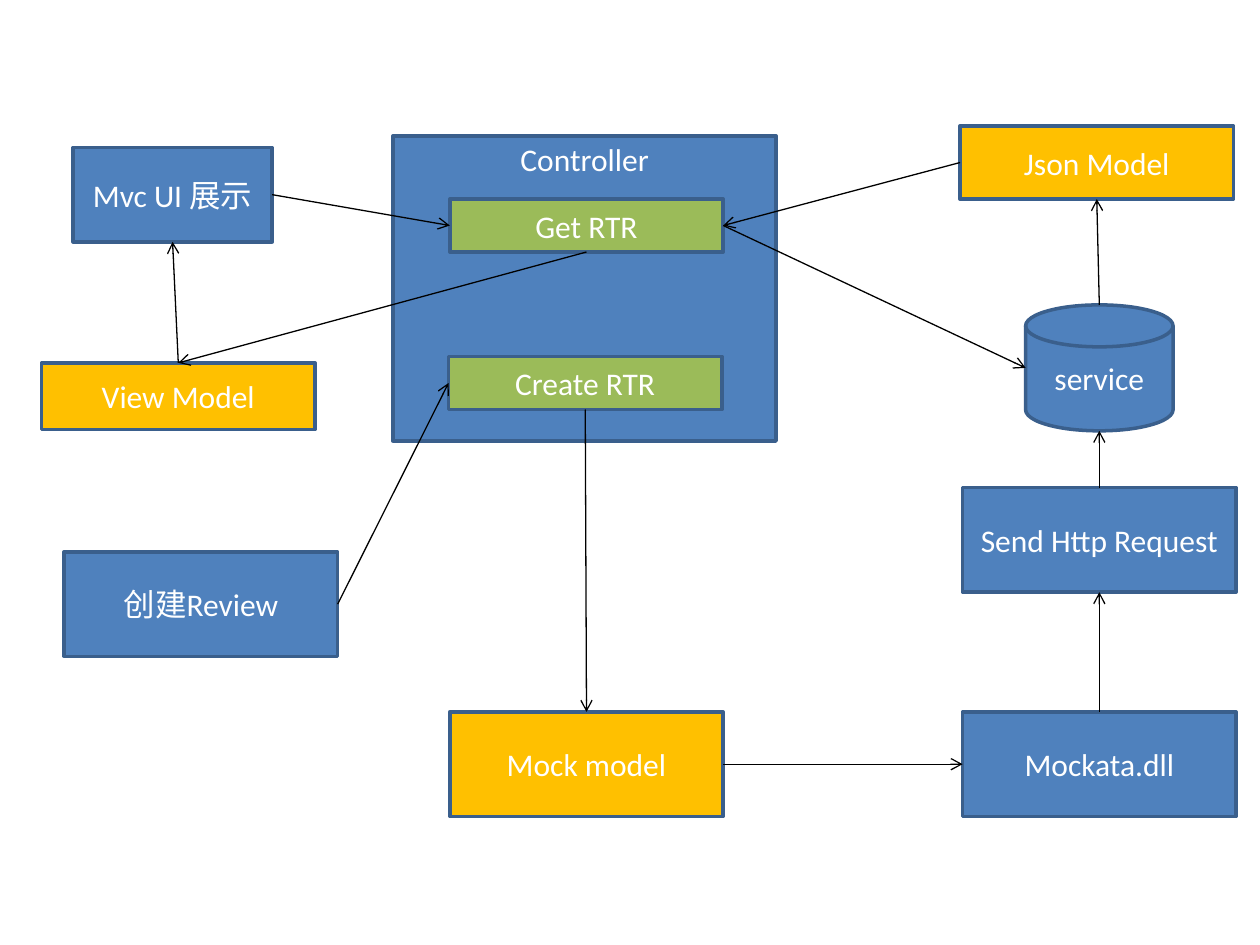
from lxml import etree
from pptx import Presentation
from pptx.dml.color import RGBColor
from pptx.enum.shapes import MSO_CONNECTOR, MSO_SHAPE
from pptx.enum.text import MSO_ANCHOR, PP_ALIGN
from pptx.oxml.ns import qn
from pptx.util import Inches, Pt

RECT, DISK = MSO_SHAPE.RECTANGLE, MSO_SHAPE.FLOWCHART_MAGNETIC_DISK
STRAIGHT = MSO_CONNECTOR.STRAIGHT
TOP, MIDDLE = MSO_ANCHOR.TOP, MSO_ANCHOR.MIDDLE
CENTER = PP_ALIGN.CENTER
SIDES = ["top", "left", "bottom", "right"]
BLUE, AMBER, GREEN = "4F81BD", "FFC000", "9BBB59"


def rgb(hex_code):
    return RGBColor.from_string(hex_code)


def write(frame, text, *, font="Calibri", size=18, color="FFFFFF", anchor=MIDDLE, inset=0.05):
    frame.word_wrap = True
    frame.vertical_anchor = anchor
    frame.margin_top = frame.margin_bottom = Inches(inset)
    paragraph = frame.paragraphs[0]
    paragraph.alignment = CENTER
    run = paragraph.add_run()
    run.text = text
    run.font.name = font
    run.font.size = Pt(size)
    run.font.color.rgb = rgb(color)


def side_point(node, side):
    x = {"left": 0, "right": node.width}.get(side, node.width // 2)
    y = {"top": 0, "bottom": node.height}.get(side, node.height // 2)
    return node.left + x, node.top + y


def site(node, side):
    return SIDES.index(side) + (node.auto_shape_type == DISK)


class FlowDiagram:
    """Draws styled nodes and glued arrows on one slide."""

    outline, outline_width = "3A5F8C", 2
    arrow_color, arrow_width = "000000", 0.75

    def __init__(self, slide):
        self.slide = slide

    def node(self, text, left, top, width=2.17, height=0.83, fill=BLUE, kind=RECT, **text_format):
        shape = self.slide.shapes.add_shape(
            kind, Inches(left), Inches(top), Inches(width), Inches(height))
        shape.shadow.inherit = False
        shape.fill.solid()
        shape.fill.fore_color.rgb = rgb(fill)
        shape.line.color.rgb = rgb(self.outline)
        shape.line.width = Pt(self.outline_width)
        write(shape.text_frame, text, **text_format)
        return shape

    def arrow(self, source, source_side, target, target_side):
        start, end = side_point(source, source_side), side_point(target, target_side)
        line = self.slide.shapes.add_connector(STRAIGHT, *start, *end)
        line.begin_connect(source, site(source, source_side))
        line.end_connect(target, site(target, target_side))
        line.begin_x, line.begin_y = start
        line.end_x, line.end_y = end
        line.line.color.rgb = rgb(self.arrow_color)
        line.line.width = Pt(self.arrow_width)
        etree.SubElement(line.line._get_or_add_ln(), qn("a:tailEnd"), type="arrow")
        etree.SubElement(line._element.spPr, qn("a:effectLst"))


def main():
    deck = Presentation()
    deck.slide_width, deck.slide_height = Inches(10), Inches(7.5)
    diagram = FlowDiagram(deck.slides.add_slide(deck.slide_layouts[6]))

    mvc_ui = diagram.node("Mvc UI 展示", 0.58, 1.17, 1.58, 0.75)
    diagram.node("Controller", 3.12, 1.08, 3.04, 2.42, anchor=TOP, inset=0.03)
    json_model = diagram.node("Json Model", 7.62, 1, height=0.58, fill=AMBER)
    mock_model = diagram.node("Mock model", 3.57, 5.65, fill=AMBER)
    service = diagram.node("service", 8.14, 2.42, 1.17, 1, kind=DISK)
    view_model = diagram.node("View Model", 0.33, 2.88, height=0.53, fill=AMBER)
    create_rtr = diagram.node("Create RTR", 3.56, 2.83, height=0.42, fill=GREEN)
    get_rtr = diagram.node("Get RTR", 3.57, 1.58, height=0.42, fill=GREEN)
    create_review = diagram.node("创建Review", 0.51, 4.38)
    mockata = diagram.node("Mockata.dll", 7.64, 5.65)
    http_request = diagram.node("Send Http Request", 7.64, 3.87)

    for flow in [
        (get_rtr, "right", service, "left"),
        (service, "top", json_model, "bottom"),
        (json_model, "left", get_rtr, "right"),
        (mvc_ui, "right", get_rtr, "left"),
        (get_rtr, "bottom", view_model, "top"),
        (view_model, "top", mvc_ui, "bottom"),
        (create_review, "right", create_rtr, "left"),
        (http_request, "top", service, "bottom"),
        (mockata, "top", http_request, "bottom"),
        (create_rtr, "bottom", mock_model, "top"),
        (mock_model, "right", mockata, "left"),
    ]:
        diagram.arrow(*flow)

    deck.save("out.pptx")


if __name__ == "__main__":
    main()
